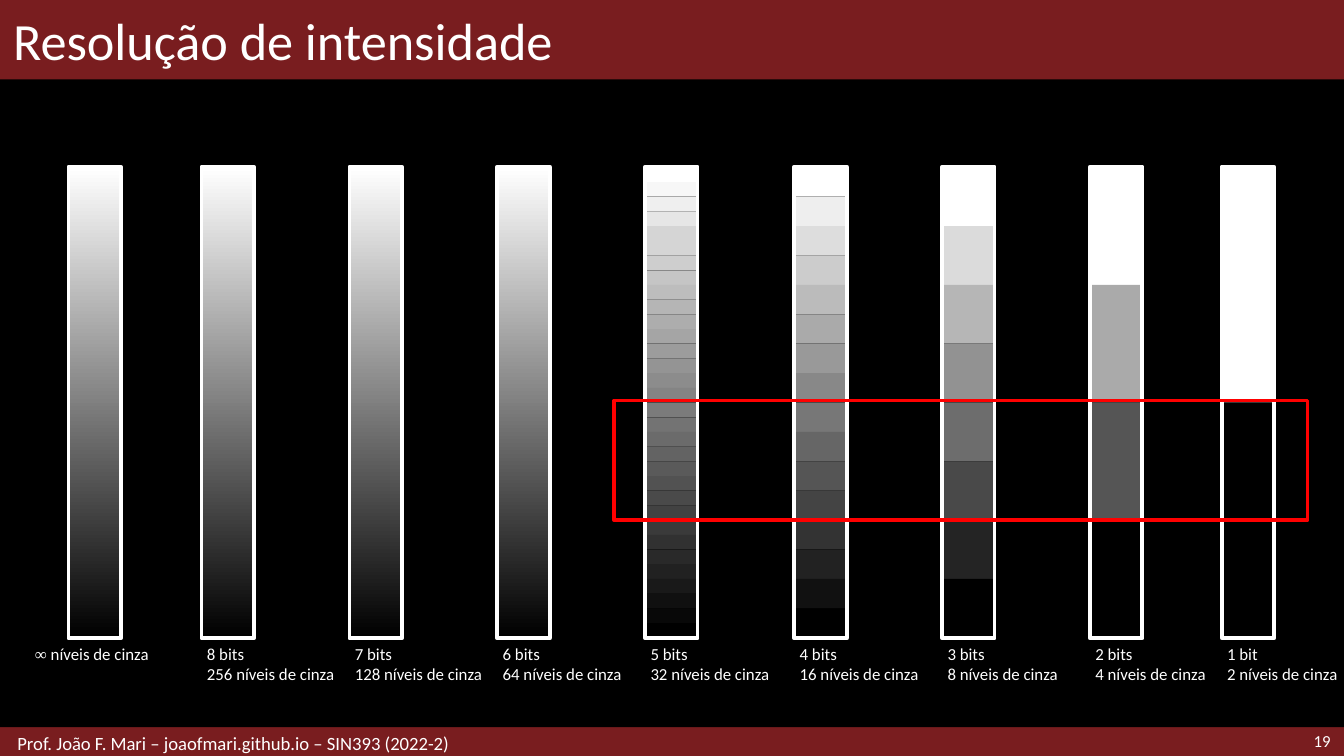
from pptx import Presentation
from pptx.dml.color import RGBColor as RGB
from pptx.enum.shapes import MSO_SHAPE as Shape
from pptx.enum.text import MSO_ANCHOR as Anchor, PP_ALIGN as Align
from pptx.util import Inches, Pt

THEME = {
    "wine": RGB(0x79, 0x1D, 0x1F),
    "black": RGB(0, 0, 0),
    "white": RGB(255, 255, 255),
    "red": RGB(255, 0, 0),
    "font": "Calibri",
    "math": "Times New Roman",
    "title": Pt(28),
    "foot": Pt(10),
    "small": Pt(9),
}


def add_rect(shapes, box, fill=None, line=None, weight=2):
    rect = shapes.add_shape(Shape.RECTANGLE, *map(Inches, box))
    rect.shadow.inherit = False
    if fill is None:
        rect.fill.background()
    else:
        rect.fill.solid()
        rect.fill.fore_color.rgb = fill
    if line is None:
        rect.line.fill.background()
    else:
        rect.line.color.rgb = line
        rect.line.width = Pt(weight)
    return rect


def add_text(box, lines, size, frame, align=Align.LEFT):
    """Each line is a list of (text, font name) runs."""
    area = slide.shapes.add_textbox(*map(Inches, box)).text_frame
    for key, value in {"word_wrap": True, **frame}.items():
        setattr(area, key, value)
    for i, line in enumerate(lines):
        para = area.add_paragraph() if i else area.paragraphs[0]
        para.alignment = align
        for text, face in line:
            run = para.add_run()
            run.text = text
            for key, value in {"name": face, "size": size}.items():
                setattr(run.font, key, value)
            run.font.color.rgb = THEME["white"]


# A 16:9 slide
deck = Presentation()
deck.slide_width = Inches(10)
deck.slide_height = Inches(10 * 9 / 16)
slide = deck.slides.add_slide(deck.slide_layouts[6])
font = THEME["font"]

# Bands, title and footer
middle = {"vertical_anchor": Anchor.MIDDLE}
add_rect(slide.shapes, (0, 0, 10, 0.59), THEME["wine"], THEME["wine"], 1)
add_rect(slide.shapes, (0, 5.42, 10, 0.21), THEME["wine"], THEME["wine"])
add_text((0, 0, 10, 0.59), [[("Resolução de intensidade", font)]], THEME["title"], middle)
add_text((8.86, 5.41, 1.14, 0.21), [[("19", font)]], THEME["small"], middle, Align.RIGHT)
add_text((0, 5.42, 6.89, 0.21),
         [[(" Prof. João F. Mari – joaofmari.github.io – SIN393 (2022-2)", font)]],
         THEME["foot"], middle)

# Dark canvas
add_rect(slide.shapes, (0, 0.59, 10, 4.82), THEME["black"])

# Scales: left edge and bit depth (None is a continuous scale)
SCALES = [(0.51, None), (1.5, 8), (2.6, 7), (3.7, 6), (4.8, 5),
          (5.91, 4), (7.01, 3), (8.11, 2), (9.09, 1)]
TOP, WIDE, TALL, FRAME = 1.24, 0.39, 3.5, 3.51
first = TOP + (FRAME - TALL) / 2
inset = dict.fromkeys(
    ("margin_left", "margin_top", "margin_right", "margin_bottom"), Inches(0.04))

for left, bits in SCALES:
    # Bars lie flat and are turned upright, so their right end is on top
    smooth = bits is None or bits > 5
    count = 1 if smooth else 2 ** bits
    step = TALL / count
    home = slide.shapes if smooth else slide.shapes.add_group_shape().shapes
    for i in range(count):
        # The 5-bit scale repeats one shade near its top
        rank = 5.1 if (bits, i) in ((5, 4), (5, 5)) else i
        gray = round(255 * (1 - rank / max(count - 1, 1)))
        bar = add_rect(home, (left + (WIDE - step) / 2,
                              first + (i + 0.5) * step - WIDE / 2, step, WIDE),
                       RGB(gray, gray, gray))
        bar.rotation = 270
        if smooth:
            bar.fill.gradient()
            bar.fill.gradient_angle = 180
            for stop, name in zip(bar.fill.gradient_stops, ("white", "black")):
                stop.color.rgb = THEME[name]

    # Label under the scale
    if bits is None:
        start, lines = 0.22, [[("∞", THEME["math"]), (" níveis de cinza", font)]]
    else:
        unit = "bit" if bits == 1 else "bits"
        start = left
        lines = [[(f"{bits} {unit}", font)], [(f"{2 ** bits} níveis de cinza", font)]]
    width = 1.1 if bits in (7, 8) else 0.98
    add_text((start, 4.75, width, 0.34), lines, THEME["small"], inset)

# Frames over the scales
for left, _ in SCALES:
    add_rect(slide.shapes, (left, TOP, WIDE, FRAME), line=THEME["white"])

# Highlight
add_rect(slide.shapes, (4.57, 2.98, 5.16, 0.89), line=THEME["red"])

deck.save("out.pptx")
